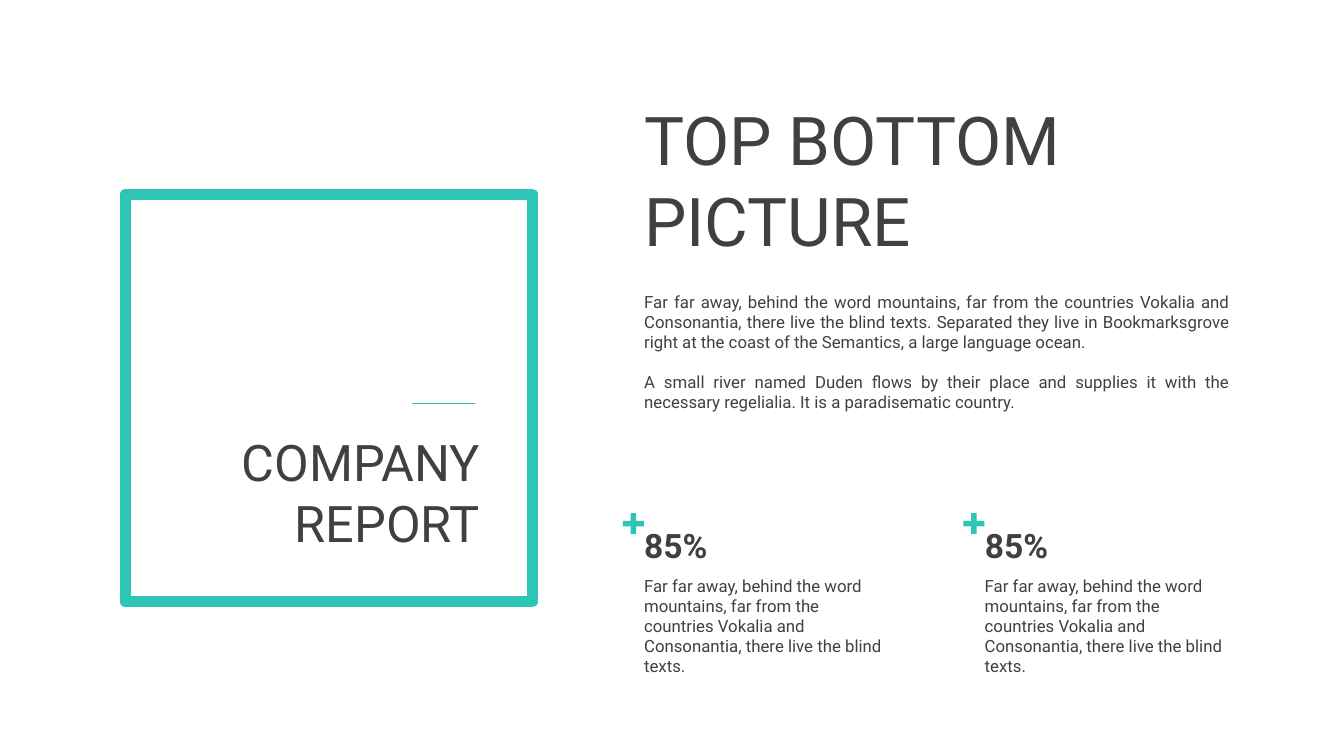
from pptx import Presentation
from pptx.enum.shapes import MSO_CONNECTOR, MSO_SHAPE
from pptx.enum.text import MSO_AUTO_SIZE, PP_ALIGN
from pptx.dml.color import RGBColor
from pptx.oxml.ns import qn
from pptx.util import Inches, Pt
from lxml import etree

LEFT, RIGHT, JUSTIFY = PP_ALIGN.LEFT, PP_ALIGN.RIGHT, PP_ALIGN.JUSTIFY
RECTANGLE, PLUS = MSO_SHAPE.RECTANGLE, MSO_SHAPE.CROSS
STRAIGHT = MSO_CONNECTOR.STRAIGHT
FIT_SHAPE = MSO_AUTO_SIZE.SHAPE_TO_FIT_TEXT

COLORS = {"accent": "2EC4B6", "text": "404040"}
FONT = "Roboto"
COLUMNS, ROWS = 32, 18


class ReportSlide:
    """Draws on one slide; every length is in grid columns and rows."""

    def __init__(self, deck):
        self.slide = deck.slides.add_slide(deck.slide_layouts[6])
        self.column = deck.slide_width / COLUMNS
        self.row = deck.slide_height / ROWS

    def place(self, *lengths):
        """Turn alternating column and row counts into slide units."""
        return [round(n * (self.row if i % 2 else self.column))
                for i, n in enumerate(lengths)]

    def color(self, name):
        return RGBColor.from_string(COLORS[name])

    def shape(self, kind, *box):
        shape = self.slide.shapes.add_shape(kind, *self.place(*box))
        shape.shadow.inherit = False
        return shape

    def frame(self, *box):
        frame = self.shape(RECTANGLE, *box)
        frame.fill.background()
        frame.line.color.rgb = self.color("accent")
        frame.line.width = Pt(8)

    def plus(self, left, top, size):
        plus = self.shape(PLUS, left, top, size, size)
        plus.adjustments[0] = 0.37
        plus.fill.solid()
        plus.fill.fore_color.rgb = self.color("accent")
        plus.line.fill.background()

    def rule(self, *ends):
        rule = self.slide.shapes.add_connector(STRAIGHT, *self.place(*ends))
        rule.line.color.rgb = self.color("accent")
        rule.line.width = Pt(0.5)
        etree.SubElement(rule._element.spPr, qn("a:effectLst"))

    def text(self, box, paragraphs, size, align=LEFT, wrap=False, bold=False, gap=0):
        frame = self.slide.shapes.add_textbox(*self.place(*box)).text_frame
        frame.word_wrap = wrap
        frame.auto_size = FIT_SHAPE
        for i, words in enumerate(paragraphs):
            paragraph = frame.add_paragraph() if i else frame.paragraphs[0]
            paragraph.alignment = align
            if i and gap:
                paragraph.space_before = Pt(gap)
            run = paragraph.add_run()
            run.text = words
            run.font.name = FONT
            run.font.size = Pt(size)
            run.font.bold = bold
            run.font.color.rgb = self.color("text")

    def statistic(self, left, value, description):
        self.text((left, 12.38, 2.11, 1.2), [value], 24, bold=True)
        self.text((left, 13.58, 6.31, 2.66), [description], 12, wrap=True)
        self.plus(left - 0.27, 12.22, 0.5)


def main():
    deck = Presentation()
    deck.slide_width, deck.slide_height = Inches(13.33), Inches(7.5)
    report = ReportSlide(deck)
    content_left = 15.1

    report.frame(2.98, 4.63, 9.7, 9.7)
    report.text((5.14, 10.15, 6.53, 3.14), ["COMPANY", "REPORT"], 36, RIGHT)
    report.rule(9.82, 9.6, 11.3, 9.6)

    report.text((content_left, 6.82, 14.42, 3.14), [
        "Far far away, behind the word mountains, far from the countries Vokalia "
        "and Consonantia, there live the blind texts. Separated they live in "
        "Bookmarksgrove right at the coast of the Semantics, a large language ocean.",
        "A small river named Duden flows by their place and supplies it with the "
        "necessary regelialia. It is a paradisematic country.",
    ], 12, JUSTIFY, wrap=True, gap=14)
    report.text((content_left, 2.23, 11.09, 4.13), ["TOP BOTTOM", "PICTURE"], 48)

    for i in range(2):
        report.statistic(
            content_left + i * 8.11, "85%",
            "Far far away, behind the word mountains, far from the countries "
            "Vokalia and Consonantia, there live the blind texts.")

    deck.save("out.pptx")


if __name__ == "__main__":
    main()
